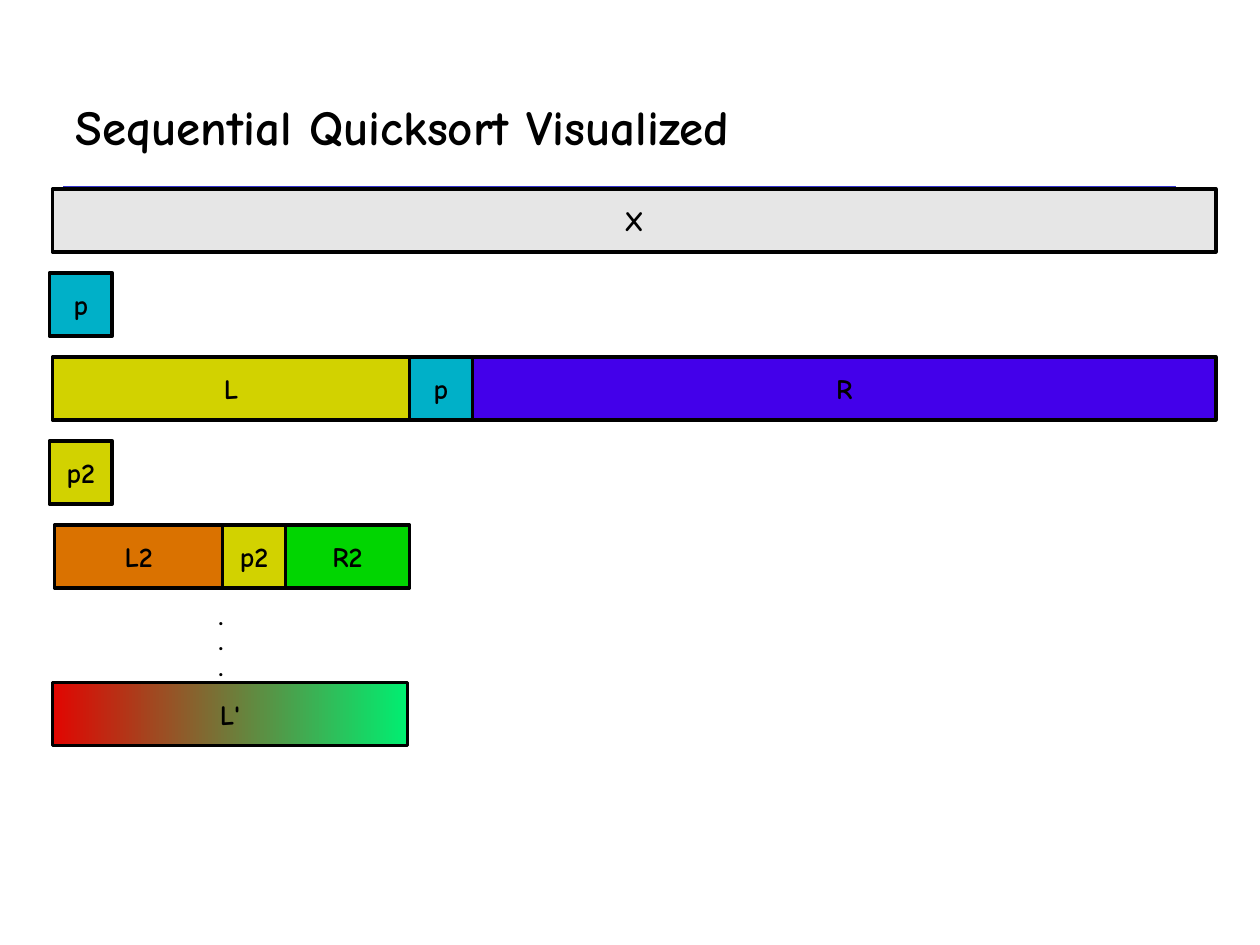
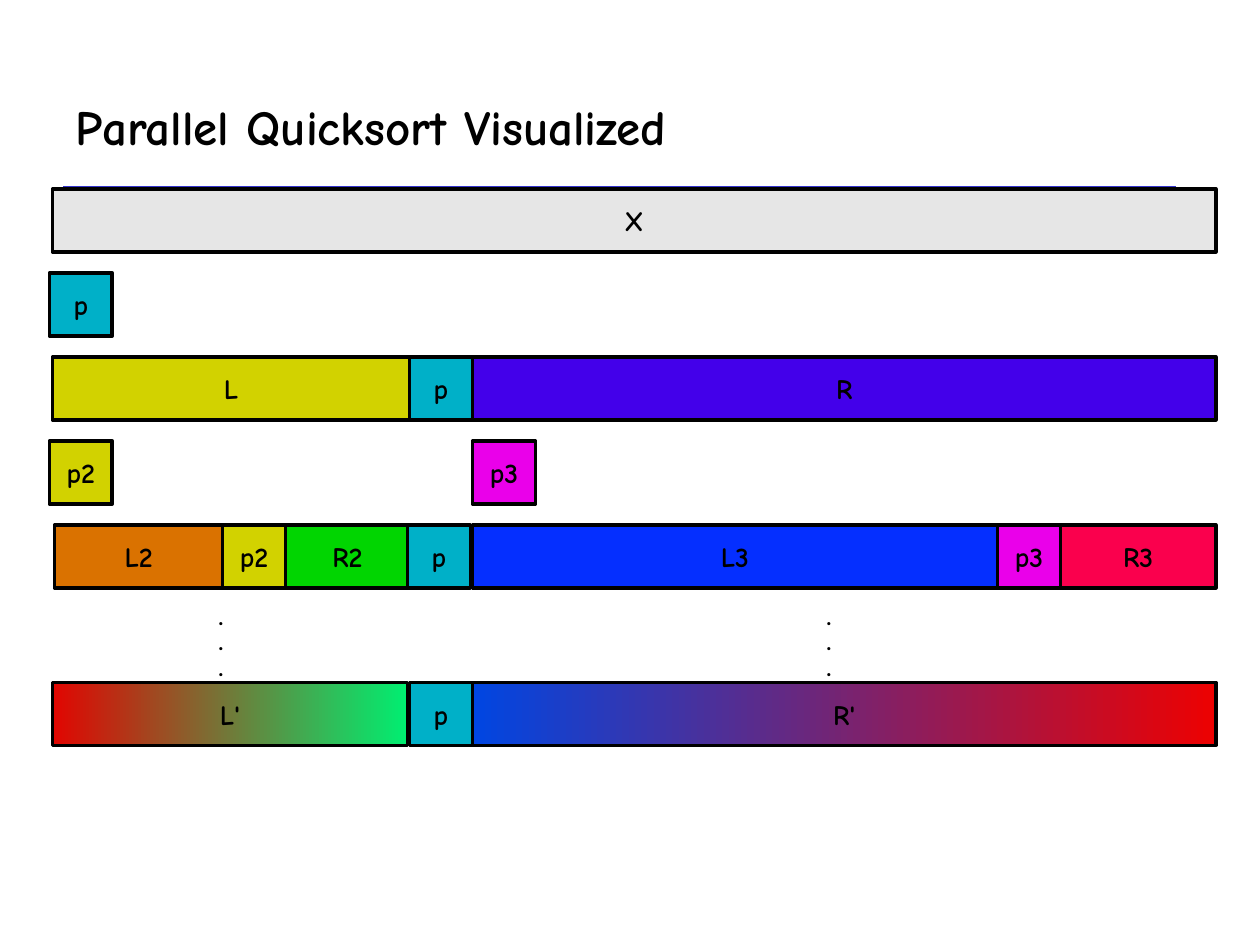
"""Draw sequential and parallel quicksort as rows of labelled bars."""
from lxml.etree import SubElement as Sub
from pptx import Presentation
from pptx.dml.color import RGBColor as RGB
from pptx.enum.shapes import MSO_CONNECTOR as LINK, MSO_SHAPE as SHAPE
from pptx.enum.text import MSO_ANCHOR as ANCHOR, MSO_AUTO_SIZE as FIT, PP_ALIGN as ALIGN
from pptx.oxml.ns import qn
from pptx.util import Inches, Pt

HUES = {
    "X": ["E6E6E6"], "p": ["00B0C8"], "L": ["D2D200"], "R": ["4300EA"],
    "p2": ["D2D200"], "L2": ["DA7200"], "R2": ["01D501"],
    "p3": ["EA00EA"], "L3": ["052FFF"], "R3": ["FA004D"],
    "L'": ["E10601", "00EE71"], "R'": ["0046E2", "ED0101"],
}
COLS, ROWS = 120, 90
CELL, STEP, TOP, LAST = 6, 8, 18, 65
EDGE, SIDE, MID, RIGHT = 5, 4.7, 45, 115.8


def hue(code):
    return RGB.from_string(code)


class Deck:
    def __init__(self):
        self.deck = Presentation()
        self.deck.slide_width, self.deck.slide_height = Inches(10), Inches(7.5)
        self.ink = "000000"
        self.styles = {
            "title": {"name": "Comic Neue", "size": Pt(28), "bold": True},
            "label": {"name": "Comic Neue", "size": Pt(16), "bold": True},
            "dots": {"name": "Calibri", "size": Pt(12), "bold": True},
        }

    def grid(self, *spans):
        units = (self.deck.slide_width / COLS, self.deck.slide_height / ROWS)
        return [round(span * units[i % 2]) for i, span in enumerate(spans)]

    def label(self, shape, text, style, align=ALIGN.LEFT, **frame):
        box = shape.text_frame
        box.text = text
        for key, value in frame.items():
            setattr(box, key, value)
        for para in box.paragraphs:
            para.alignment = align
            para.space_before = para.space_after = Pt(0)
            para.font.color.rgb = hue(self.ink)
            for key, value in self.styles[style].items():
                setattr(para.font, key, value)

    def page(self, text):
        self.slide = self.deck.slides.add_slide(self.deck.slide_layouts[5])
        title = self.slide.shapes.title
        title.left, title.top, title.width, title.height = self.grid(6, 6, 106, 12)
        self.label(title, text, "title", vertical_anchor=ANCHOR.MIDDLE,
                   word_wrap=True, auto_size=FIT.NONE)
        self.rule(6, TOP, 112, TOP)

    def rule(self, *ends):
        line = self.slide.shapes.add_connector(LINK.STRAIGHT, *self.grid(*ends))
        line.line.color.rgb = hue("3333CC")
        line.line.width = Pt(3)
        Sub(line._element.spPr, qn("a:effectLst"))

    def bar(self, text, left, top, width=CELL):
        shape = self.slide.shapes.add_shape(
            SHAPE.RECTANGLE, *self.grid(left, top, width, CELL))
        shape.shadow.inherit = False
        codes = HUES[text]
        if len(codes) == 1:
            shape.fill.solid()
            shape.fill.fore_color.rgb = hue(codes[0])
        else:
            shape.fill.gradient()
            shape.fill.gradient_angle = 0
            for stop, code in zip(shape.fill.gradient_stops, codes):
                stop.color.rgb = hue(code)
        shape.line.color.rgb = hue(self.ink)
        shape.line.width = Pt(2)
        self.label(shape, text, "label", ALIGN.CENTER,
                   vertical_anchor=ANCHOR.MIDDLE, word_wrap=False)

    def split(self, left, top, **parts):
        for text, width in parts.items():
            self.bar(text, left, top, width)
            left += width

    def dots(self, left):
        box = self.slide.shapes.add_textbox(*self.grid(left, 57, 3.1, 8.5))
        self.label(box, ".\n.\n.", "dots", word_wrap=False)


def level(row):
    return TOP + row * STEP


def start(deck, title):
    deck.page(title)
    deck.bar("X", EDGE, level(0), RIGHT - EDGE)
    deck.bar("p", SIDE, level(1))
    deck.split(EDGE, level(2), L=34, p=CELL, R=RIGHT - MID)
    deck.bar("p2", SIDE, level(3))
    deck.split(5.2, level(4), L2=16, p2=CELL, R2=11.8)
    deck.dots(19.6)
    deck.bar("L'", EDGE, LAST, 33.8)


def main():
    deck = Deck()
    start(deck, "Sequential Quicksort Visualized")
    start(deck, "Parallel Quicksort Visualized")
    deck.bar("p3", MID, level(3))
    deck.split(MID, level(4), L3=50, p3=CELL, R3=14.8)
    deck.bar("p", 38.8, level(4))
    deck.dots(77.5)
    deck.bar("R'", MID, LAST, RIGHT - MID)
    deck.bar("p", MID - CELL, LAST)
    deck.deck.save("out.pptx")


if __name__ == "__main__":
    main()
